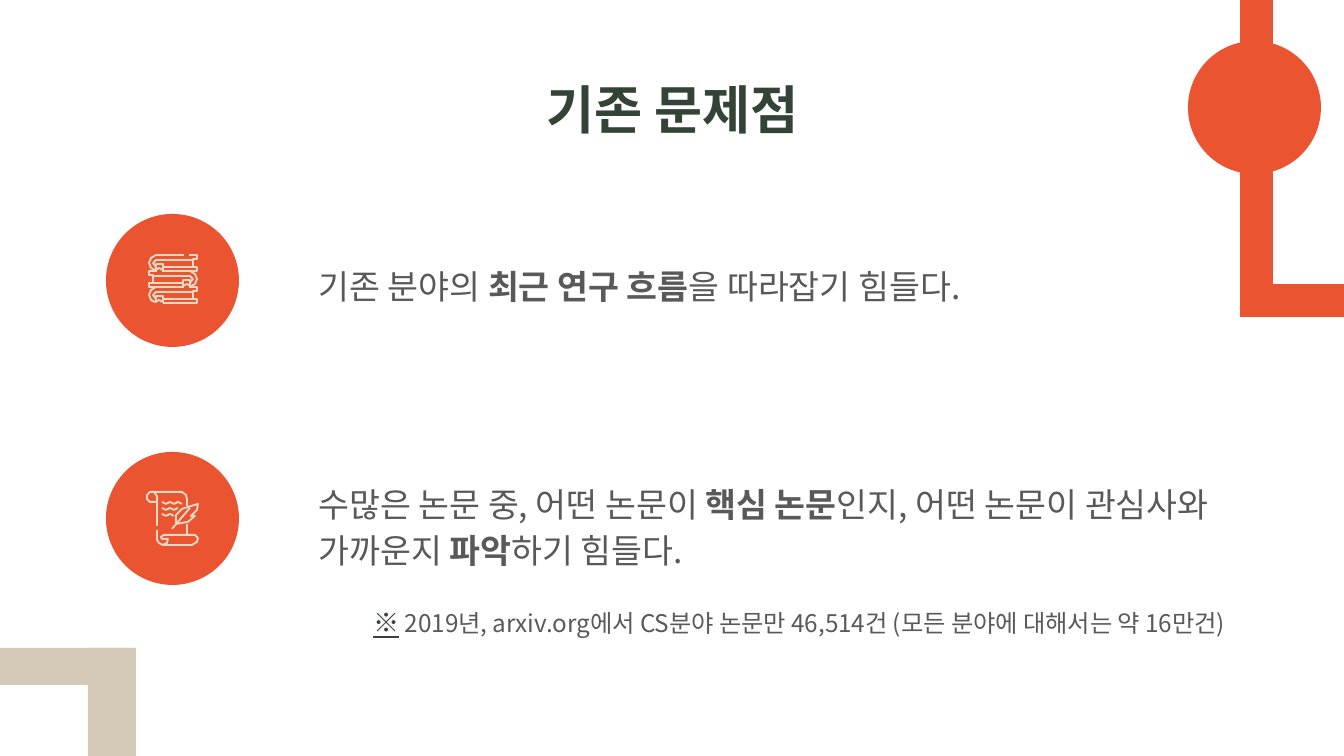
import pptx
import pptx.dml.color
import pptx.enum.shapes
import pptx.enum.text
import pptx.oxml.ns
import pptx.util
from lxml import etree

PX = 914400 / 134.4
FONT = "Noto Sans CJK KR"
COLORS = {
    "orange": "EA5430",
    "sand": "D4CAB7",
    "cream": "E3DAC5",
    "green": "334436",
    "gray": "595959",
}
SHAPES = pptx.enum.shapes.MSO_SHAPE
ALIGN = pptx.enum.text.PP_ALIGN
ANCHOR = pptx.enum.text.MSO_ANCHOR
AUTO_SIZE = pptx.enum.text.MSO_AUTO_SIZE


def px(length):
    return pptx.util.Emu(round(length * PX))


def color(name):
    return pptx.dml.color.RGBColor.from_string(COLORS[name])


class SlideBuilder:
    def __init__(self, slide):
        self.slide = slide

    def place(self, shape, left, top, width, height):
        shape.left, shape.top = px(left), px(top)
        shape.width, shape.height = px(width), px(height)

    def style_run(self, run, size, color_name, bold=False, underline=False):
        run.font.name = FONT
        run.font.size = pptx.util.Pt(size)
        run.font.bold = bold
        run.font.underline = underline
        run.font.color.rgb = color(color_name)
        east_asian = etree.Element(pptx.oxml.ns.qn("a:ea"), typeface=FONT)
        run.font._element.find(pptx.oxml.ns.qn("a:latin")).addnext(east_asian)

    def frame(self, shape, anchor, auto_size):
        text_frame = shape.text_frame
        text_frame.word_wrap = True
        text_frame.auto_size = auto_size
        text_frame.vertical_anchor = anchor
        margin = pptx.util.Inches(0.1)
        text_frame.margin_left = text_frame.margin_right = margin
        text_frame.margin_top = text_frame.margin_bottom = margin
        return text_frame

    def title(self, text, box):
        shape = self.slide.shapes.title
        self.place(shape, *box)
        text_frame = self.frame(shape, ANCHOR.MIDDLE, AUTO_SIZE.NONE)
        text_frame.text = text
        paragraph = text_frame.paragraphs[0]
        paragraph.alignment = ALIGN.CENTER
        self.style_run(paragraph.runs[0], 28, "green", bold=True)

    def body(self, index, pieces, box):
        """Fill a body placeholder; every second piece is bold."""
        shape = self.slide.placeholders[index]
        self.place(shape, *box)
        paragraph = self.frame(shape, ANCHOR.TOP, AUTO_SIZE.NONE).paragraphs[0]
        properties = paragraph._p.get_or_add_pPr()
        properties.set("marL", "0")
        properties.set("indent", "0")
        etree.SubElement(properties, pptx.oxml.ns.qn("a:buNone"))
        paragraph.line_spacing = 1.15
        paragraph.space_before = pptx.util.Pt(0)
        paragraph.space_after = pptx.util.Pt(12)
        for position, piece in enumerate(pieces):
            run = paragraph.add_run()
            run.text = piece
            self.style_run(run, 18, "gray", bold=position % 2 == 1)

    def note(self, mark, text, box):
        shape = self.slide.shapes.add_textbox(*map(px, box))
        text_frame = self.frame(shape, ANCHOR.TOP, AUTO_SIZE.SHAPE_TO_FIT_TEXT)
        paragraph = text_frame.paragraphs[0]
        paragraph.line_spacing = 1.1
        paragraph.space_after = pptx.util.Pt(6)
        paragraph.text = mark
        self.style_run(paragraph.runs[0], 14, "green", underline=True)
        run = paragraph.add_run()
        run.text = text
        self.style_run(run, 13, "gray")

    def shape(self, kind, box, color_name):
        shape = self.slide.shapes.add_shape(kind, *map(px, box))
        shape.shadow.inherit = False
        shape.fill.solid()
        shape.fill.fore_color.rgb = color(color_name)
        shape.line.fill.background()
        return shape

    def icon(self, strokes):
        builder = self.slide.shapes.build_freeform(*strokes[0][0], scale=PX)
        builder.add_line_segments(strokes[0][1:], close=False)
        for stroke in strokes[1:]:
            builder.move_to(*stroke[0])
            builder.add_line_segments(stroke[1:], close=False)
        shape = builder.convert_to_shape()
        shape.shadow.inherit = False
        shape.fill.background()
        shape.line.color.rgb = color("cream")
        shape.line.width = pptx.util.Pt(1)


# One rolled scroll, stacked three times with the middle one mirrored
ROLL = [
    [(184, 255), (156, 255), (151, 258), (149, 263), (151, 268), (155, 270)],
    [(193, 260), (156, 260), (153, 263), (156, 267)],
    [(156, 264), (163, 264), (163, 270), (159, 268), (156, 270), (156, 264)],
    [(163, 267), (197, 267), (197, 271), (163, 271)],
    [(189, 255), (197, 255), (197, 259), (193, 259), (193, 267)],
]


def scroll_stack():
    strokes = []
    for offset, mirrored in ((0, False), (16, True), (32, False)):
        for stroke in ROLL:
            strokes.append([(346 - x if mirrored else x, y + offset)
                            for x, y in stroke])
    return strokes


def scroll_with_quill():
    strokes = [
        # Sheet
        [(157, 502), (150, 502), (147, 499), (147, 495), (150, 492),
         (154, 492), (157, 496), (157, 526)],
        [(152, 492), (182, 492), (186, 495), (187, 499), (187, 506)],
        [(157, 530), (157, 540), (159, 543), (163, 545), (192, 545),
         (197, 542), (198, 538), (195, 535), (164, 535), (161, 537),
         (162, 539), (168, 539), (167, 543), (163, 545)],
        [(187, 524), (187, 535)],
        # Quill
        [(172, 529), (190, 508)],
        [(176, 523), (176, 515), (182, 509), (198, 504), (197, 510),
         (191, 516), (195, 516), (188, 522), (176, 524)],
    ]
    # Lines of writing
    for row, points in enumerate((6, 5, 4)):
        strokes.append([(162 + 4 * i, 502 + 6 * row + 2 * (i % 2))
                        for i in range(points)])
    return strokes


def main():
    presentation = pptx.Presentation()
    presentation.slide_width = px(1344)
    presentation.slide_height = px(756)
    slide = presentation.slides.add_slide(presentation.slide_layouts[3])
    builder = SlideBuilder(slide)

    # Title and problems
    builder.title("기존 문제점", (106, 66, 1133, 85))
    builder.body(1, ["기존 분야의 ", "최근 연구 흐름", "을 따라잡기 힘들다."],
                 (305, 246, 780, 85))
    builder.body(2, ["수많은 논문 중, 어떤 논문이 ", "핵심 논문",
                     "인지, 어떤 논문이 관심사와 가까운지 ", "파악",
                     "하기 힘들다."], (305, 464, 999, 110))

    # Corner frame and circles
    corner = builder.shape(SHAPES.FRAME, (1240, -271, 548, 588), "orange")
    corner.adjustments[0] = 0.06
    for left, top in ((1188, 41), (106, 214), (106, 452)):
        builder.shape(SHAPES.OVAL, (left, top, 133, 133), "orange")

    # Icons
    builder.icon(scroll_with_quill())
    builder.icon(scroll_stack())

    # Footnote
    builder.note("※", " 2019년, arxiv.org에서 CS분야 논문만 46,514건 "
                 "(모든 분야에 대해서는 약 16만건)", (360, 590, 961, 59))

    # Bottom left bracket
    for box in ((0, 648, 135, 37), (88, 648, 48, 108)):
        builder.shape(SHAPES.RECTANGLE, box, "sand")

    presentation.save("out.pptx")


if __name__ == "__main__":
    main()
